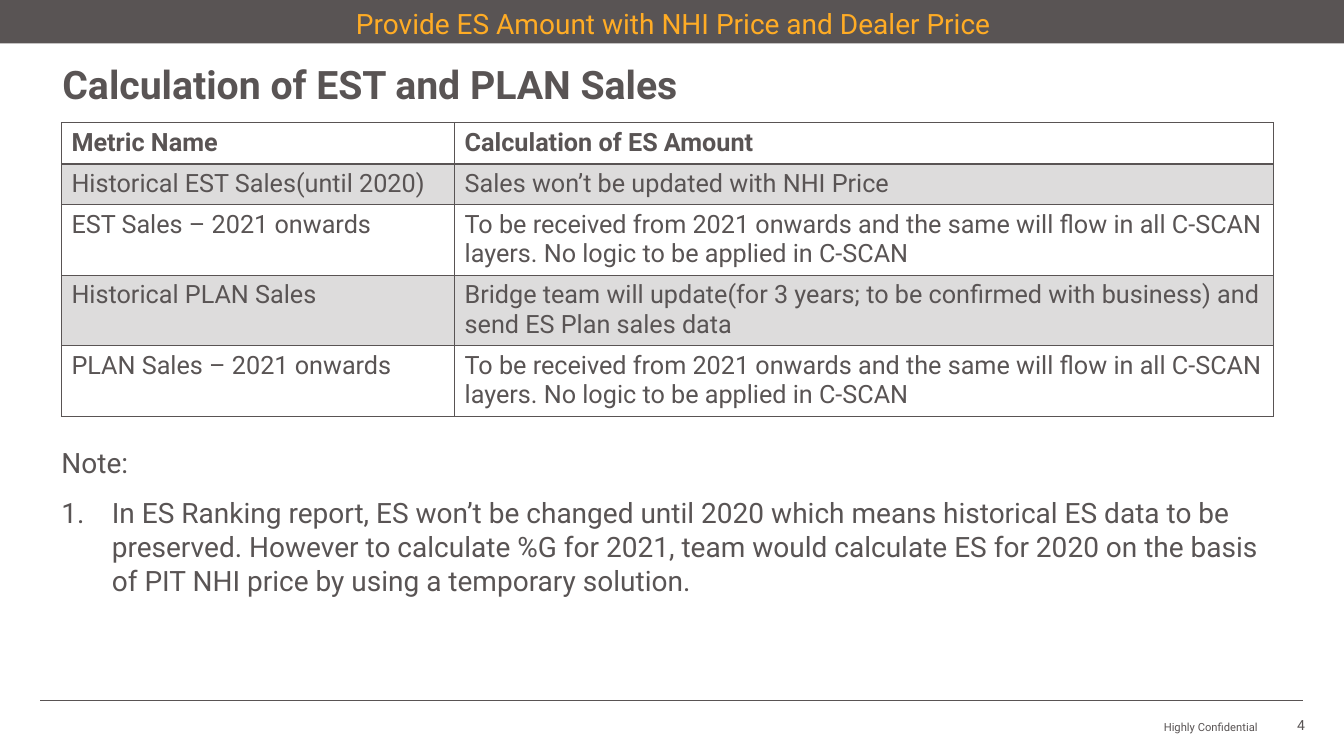
from dataclasses import dataclass

from lxml import etree
from pptx import Presentation
from pptx.dml.color import RGBColor
from pptx.enum.shapes import MSO_CONNECTOR, MSO_SHAPE
from pptx.enum.text import MSO_ANCHOR, PP_ALIGN
from pptx.oxml.ns import qn
from pptx.util import Pt

LINE = MSO_CONNECTOR.STRAIGHT
RECT = MSO_SHAPE.RECTANGLE
TOP, MID, LOW = MSO_ANCHOR.TOP, MSO_ANCHOR.MIDDLE, MSO_ANCHOR.BOTTOM
CENTER, RIGHT, LEFT = PP_ALIGN.CENTER, PP_ALIGN.RIGHT, PP_ALIGN.LEFT


@dataclass(frozen=True)
class Theme:
    """Colours, font and type sizes of the slide."""
    dark: str = "595454"
    gold: str = "FFAC25"
    font: str = "Roboto"
    title: int = 28
    body: int = 20
    cell: int = 18
    page: int = 10
    foot: int = 8
    tint: int = 20


THEME = Theme()
FLOW = ("To be received from 2021 onwards and the same will flow in all "
        "C-SCAN layers. No logic to be applied in C-SCAN")
ROWS = [
    ("Metric Name", "Calculation of ES Amount"),
    ("Historical EST Sales(until 2020)", "Sales won’t be updated with NHI Price"),
    ("EST Sales – 2021 onwards", FLOW),
    ("Historical PLAN Sales", "Bridge team will update(for 3 years; to be confirmed "
     "with business) and send ES Plan sales data"),
    ("PLAN Sales – 2021 onwards", FLOW),
]
WIDTHS = (280.8, 585.2)
HEIGHTS = (29.2, 29.2, 49.6, 49.6, 49.6)
NOTE = ("In ES Ranking report, ES won’t be changed until 2020 which means historical "
        "ES data to be preserved. However to calculate %G for 2021, team would "
        "calculate ES for 2020 on the basis of PIT NHI price by using a temporary "
        "solution.")


def apply(item, form):
    """Set each attribute named in form on item."""
    for name, value in form.items():
        setattr(item, name, value)


def write(para, text, size, color=THEME.dark, bold=False, **form):
    """Put one styled run in a paragraph."""
    run = para.add_run()
    run.text = text
    apply(run.font, {"name": THEME.font, "size": Pt(size), "bold": bold})
    run.font.color.rgb = RGBColor.from_string(color)
    apply(para, form)


def add_box(slide, area, anchor=TOP, **inset):
    """Add a wrapping text box and return its frame."""
    frame = slide.shapes.add_textbox(*map(Pt, area)).text_frame
    apply(frame, {"word_wrap": True, "vertical_anchor": anchor, **inset})
    return frame


def add_bar(slide, area):
    """Add a plain dark bar."""
    bar = slide.shapes.add_shape(RECT, *map(Pt, area))
    bar.shadow.inherit = False
    bar.fill.solid()
    bar.fill.fore_color.rgb = RGBColor.from_string(THEME.dark)
    bar.line.fill.background()
    return bar


def add_rule(slide, *ends):
    """Add a thin straight rule."""
    rule = slide.shapes.add_connector(LINE, *map(Pt, ends))
    rule.line.width = Pt(0.5)
    rule.line.color.rgb = RGBColor.from_string(THEME.dark)
    etree.SubElement(rule._element.spPr, qn("a:effectLst"))


def set_edges(cell, base):
    """Draw the four borders of a cell, the lower one base points wide."""
    props = cell._tc.get_or_add_tcPr()
    for spot, (side, width) in enumerate(zip("LRTB", (1, 1, 1, base))):
        edge = etree.Element(qn(f"a:ln{side}"), w=str(Pt(width)))
        fill = etree.SubElement(edge, qn("a:solidFill"))
        etree.SubElement(fill, qn("a:srgbClr"), val=THEME.dark)
        props.insert(spot, edge)


def set_tint(cell):
    """Fill a cell with a see-through tint."""
    cell.fill.solid()
    cell.fill.fore_color.rgb = RGBColor.from_string(THEME.dark)
    color = cell._tc.tcPr.find(".//" + qn("a:srgbClr"))
    etree.SubElement(color, qn("a:alpha"), val=str(THEME.tint * 1000))


def add_grid(slide, left, top):
    """Add the metric table with a bold head and tinted odd rows."""
    area = map(Pt, (left, top, sum(WIDTHS), sum(HEIGHTS)))
    table = slide.shapes.add_table(len(ROWS), len(WIDTHS), *area).table
    apply(table, {"first_row": False, "horz_banding": False})
    for col, width in zip(table.columns, WIDTHS):
        col.width = Pt(width)
    for r, (texts, height) in enumerate(zip(ROWS, HEIGHTS)):
        table.rows[r].height = Pt(height)
        for c, text in enumerate(texts):
            cell = table.cell(r, c)
            write(cell.text_frame.paragraphs[0], text, THEME.cell, bold=r == 0)
            if r % 2:
                set_tint(cell)
            else:
                cell.fill.background()
            set_edges(cell, 2 if r == 0 else 1)


def set_number(para, indent):
    """Number a paragraph with a hanging indent."""
    props = para._p.get_or_add_pPr()
    props.set("marL", str(Pt(indent)))
    props.set("indent", str(-Pt(indent)))
    etree.SubElement(props, qn("a:buFont"), typeface="+mj-lt")
    etree.SubElement(props, qn("a:buAutoNum"), type="arabicPeriod")


def main():
    """Build the slide and save it."""
    deck = Presentation()
    apply(deck, {"slide_width": Pt(960), "slide_height": Pt(540)})
    slide = deck.slides.add_slide(deck.slide_layouts[6])
    flush = dict.fromkeys(
        ("margin_left", "margin_top", "margin_right", "margin_bottom"), 0)

    add_rule(slide, 28.8, 500.4, 931, 500.4)
    foot = add_box(slide, (645.8, 506.2, 252.7, 18), LOW, **flush)
    write(foot.paragraphs[0], "Highly Confidential", THEME.foot, alignment=RIGHT)
    title = add_box(slide, (44.6, 46.8, 871.2, 41), **flush)
    write(title.paragraphs[0], "Calculation of EST and PLAN Sales", THEME.title,
          bold=True, line_spacing=0.9)
    add_bar(slide, (0, 0, 962, 28.8))
    page = add_box(slide, (919.4, 508.3, 25.2, 18))
    write(page.paragraphs[0], "4", THEME.page, alignment=LEFT)
    add_grid(slide, 43.9, 87.8)

    note = add_box(slide, (43.9, 318.2, 865.4, 126.7), **flush)
    write(note.paragraphs[0], "Note:", THEME.body, space_before=Pt(12))
    item = note.add_paragraph()
    write(item, NOTE, THEME.body, space_before=Pt(12))
    set_number(item, 36)

    head = add_bar(slide, (0, 2.2, 962, 28.8)).text_frame
    apply(head, {"word_wrap": True, "vertical_anchor": MID})
    write(head.paragraphs[0], "Provide ES Amount with NHI Price and Dealer Price",
          THEME.body, THEME.gold, alignment=CENTER)
    deck.save("out.pptx")


if __name__ == "__main__":
    main()
